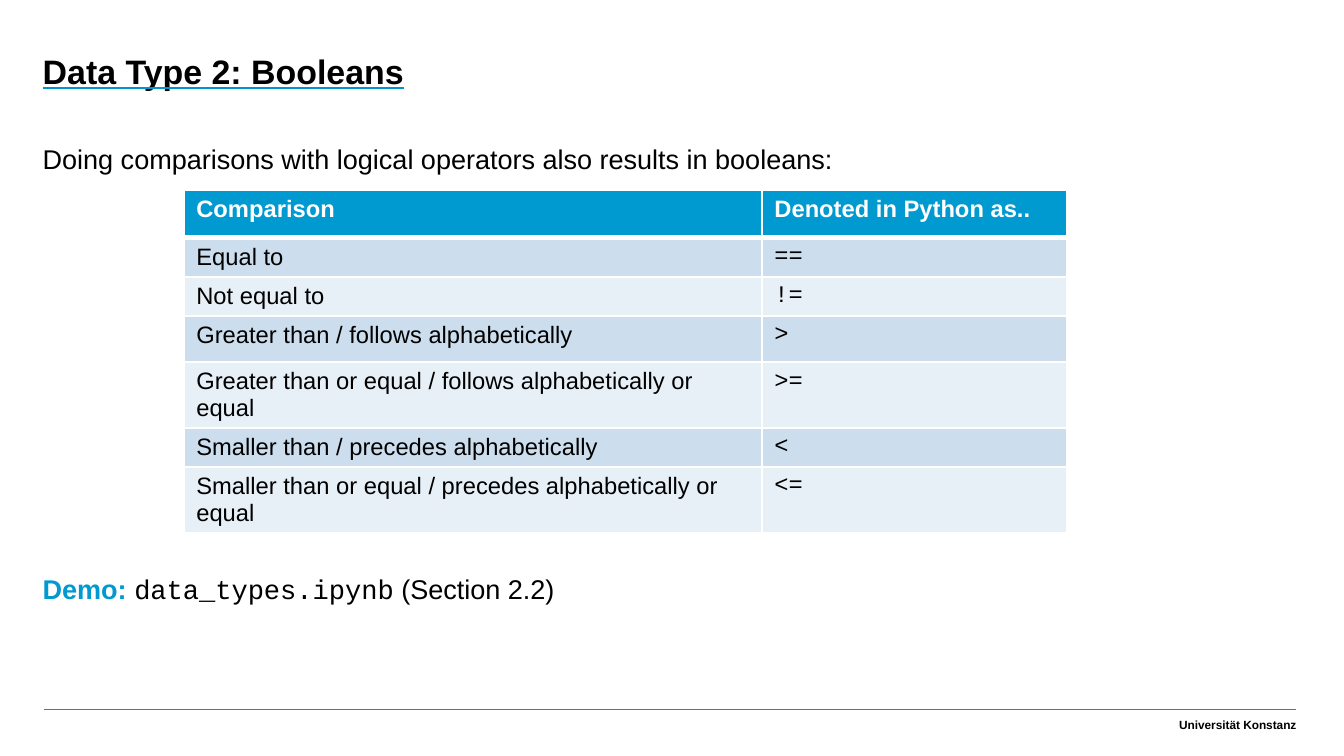
from pptx import Presentation
from pptx.dml.color import RGBColor
from pptx.enum.shapes import MSO_CONNECTOR
from pptx.enum.text import MSO_ANCHOR, MSO_AUTO_SIZE, PP_ALIGN
from pptx.oxml import parse_xml
from pptx.oxml.ns import nsdecls
from pptx.util import Inches, Pt
from lxml.etree import SubElement

HUES = {
    "text": "000000",
    "white": "FFFFFF",
    "accent": "009AD1",
    "rule": "0096CC",
    "odd": "CCDEEE",
    "even": "E7EFF7",
}
SANS, MONO = "Arial", "Courier New"
ROWS = [
    ("Comparison", "Denoted in Python as.."),
    ("Equal to", "=="),
    ("Not equal to", "!="),
    ("Greater than / follows alphabetically", ">"),
    ("Greater than or equal / follows alphabetically or equal", ">="),
    ("Smaller than / precedes alphabetically", "<"),
    ("Smaller than or equal / precedes alphabetically or equal", "<="),
]
HEIGHTS = [0.39, 0.32, 0.32, 0.38, 0.54, 0.32, 0.54]
WIDTHS = [4.74, 2.5]


def color(key):
    return RGBColor.from_string(HUES[key])


def style(run, size, key="text", face=SANS, bold=False):
    font = run.font
    font.size, font.name, font.bold = Pt(size), face, bold
    font.color.rgb = color(key)


def place(shape, box):
    shape.left, shape.top, shape.width, shape.height = map(Inches, box)
    frame = shape.text_frame
    frame.margin_left = frame.margin_right = 0
    frame.margin_top = frame.margin_bottom = 0
    frame.word_wrap = True
    frame.auto_size = MSO_AUTO_SIZE.NONE
    frame.vertical_anchor = MSO_ANCHOR.TOP
    return frame


def fill_xml(key):
    return f'<a:solidFill {nsdecls("a")}><a:srgbClr val="{HUES[key]}"/></a:solidFill>'


def add_title(slide, box):
    frame = place(slide.shapes.title, box)
    frame.text = "Data Type 2: Booleans"
    para = frame.paragraphs[0]
    para.alignment = PP_ALIGN.LEFT
    para.line_spacing = 0.95
    run = para.runs[0]
    style(run, 20, bold=True)
    run.font.underline = True
    under = parse_xml(f'<a:uFill {nsdecls("a")}>{fill_xml("rule")}</a:uFill>')
    run.font._element.find("{*}latin").addprevious(under)


def add_body(slide, box):
    frame = place(slide.placeholders[1], box)
    frame.text = "Doing comparisons with logical operators also results in booleans:"
    intro, demo = frame.paragraphs[0], frame.add_paragraph()
    style(intro.runs[0], 16)
    for text, look in [
        ("Demo: ", {"key": "accent", "bold": True}),
        ("data_types.ipynb", {"face": MONO}),
        (" (Section 2.2)", {}),
    ]:
        run = demo.add_run()
        run.text = text
        style(run, 16, **look)
    for para, gap in [(intro, 0), (demo, 233)]:
        para.line_spacing = 1.1
        para.space_before = Pt(gap)
        props = para._p.get_or_add_pPr()
        props.set("marL", "0")
        props.set("indent", "0")
        props.append(parse_xml(f'<a:buNone {nsdecls("a")}/>'))


def add_edges(cell, sizes):
    props = cell._tc.get_or_add_tcPr()
    for i, (side, size) in enumerate(sizes.items()):
        line = parse_xml(
            f'<a:ln{side} {nsdecls("a")} w="{Pt(size)}">{fill_xml("white")}</a:ln{side}>'
        )
        props.insert(i, line)


def add_grid(slide, box):
    frame = slide.shapes.add_table(len(ROWS), len(WIDTHS), *map(Inches, box))
    table = frame.table
    for col, width in zip(table.columns, WIDTHS):
        col.width = Inches(width)
    for i, (words, height) in enumerate(zip(ROWS, HEIGHTS)):
        table.rows[i].height = Inches(height)
        head = i == 0
        hue = "accent" if head else "odd" if i % 2 else "even"
        for j, text in enumerate(words):
            cell = table.cell(i, j)
            cell.text = text
            cell.fill.solid()
            cell.fill.fore_color.rgb = color(hue)
            face = MONO if j and not head else SANS
            run = cell.text_frame.paragraphs[0].runs[0]
            style(run, 14, "white" if head else "text", face, head)
            add_edges(cell, {"L": 1, "R": 1, "T": 3 if i == 1 else 1, "B": 3 if head else 1})


def add_foot(slide, box):
    left, top, width, height = box
    rule = slide.shapes.add_connector(
        MSO_CONNECTOR.STRAIGHT,
        Inches(left), Inches(top), Inches(left + width), Inches(top),
    )
    rule.line.color.rgb = color("rule")
    rule.line.width = Pt(1)
    SubElement(rule._element.spPr, "{http://schemas.openxmlformats.org/drawingml/2006/main}effectLst")
    wide = 2.6
    area = (left + width - wide, top, wide, height)
    frame = place(slide.shapes.add_textbox(*map(Inches, area)), area)
    frame.margin_bottom = Inches(0.06)
    frame.vertical_anchor = MSO_ANCHOR.BOTTOM
    frame.text = "Universität Konstanz"
    para = frame.paragraphs[0]
    para.alignment = PP_ALIGN.RIGHT
    style(para.runs[0], 7, bold=True)


def main():
    deck = Presentation()
    deck.slide_width, deck.slide_height = Inches(11.02), Inches(6.2)
    slide = deck.slides.add_slide(deck.slide_layouts[1])
    add_foot(slide, (0.36, 5.82, 10.27, 0.24))
    add_title(slide, (0.35, 0.44, 6.93, 0.87))
    add_body(slide, (0.35, 1.14, 9.29, 4.09))
    add_grid(slide, (1.51, 1.56, sum(WIDTHS), sum(HEIGHTS)))
    deck.save("out.pptx")


if __name__ == "__main__":
    main()
